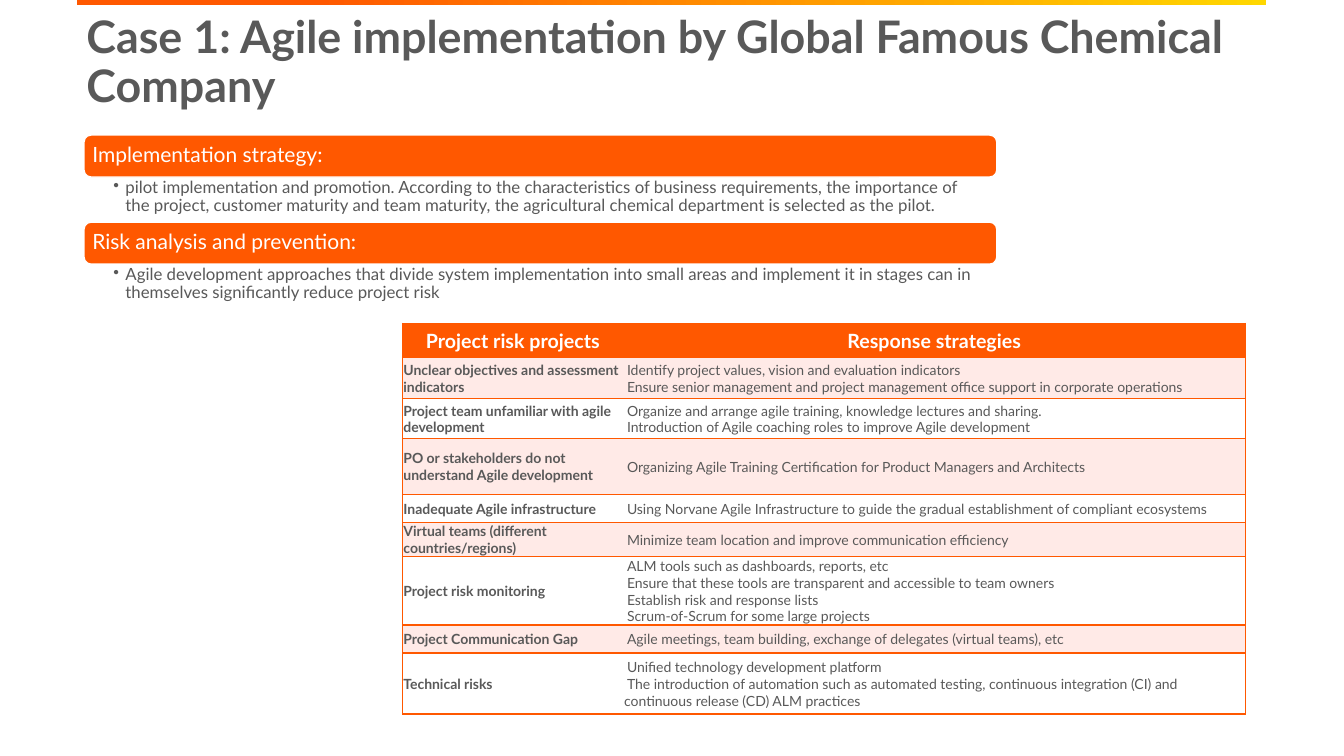
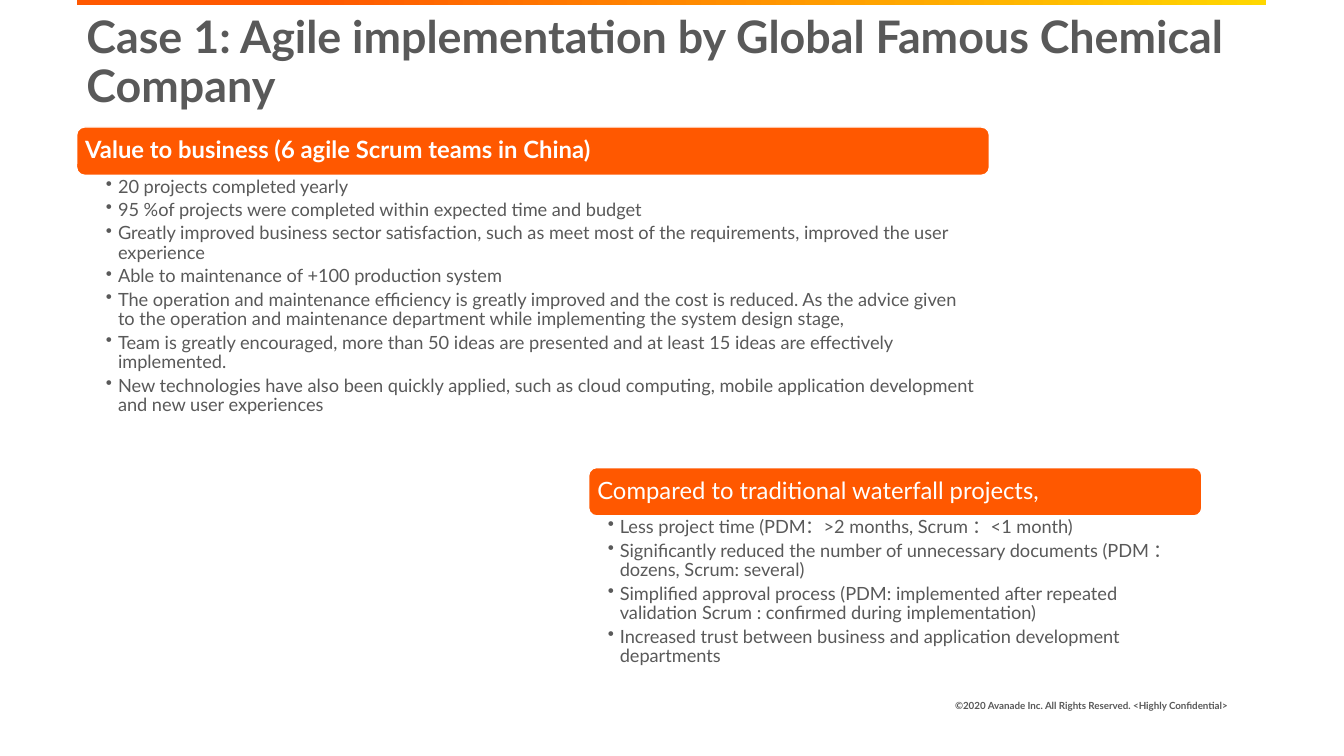
"""Builds two slides on a case of agile work: risks and strategy, then value."""
import pptx
import pptx.chart.data
import pptx.dml.color
import pptx.enum.shapes
import pptx.enum.text
import pptx.oxml
import pptx.oxml.ns
import pptx.util

Pt = pptx.util.Pt
RGB = pptx.dml.color.RGBColor.from_string
MID = pptx.enum.text.MSO_ANCHOR.MIDDLE
ALIGN = pptx.enum.text.PP_ALIGN
SHAPE = pptx.enum.shapes.MSO_SHAPE
FONT = "Lato"
HUES = {"brand": "FF5800", "gold": "FFD700", "text": "595959", "white": "FFFFFF", "band": "FFEAE7"}
TITLE = "Case 1: Agile implementation by Global Famous Chemical Company"
NOTE = "©2020 Avanade Inc. All Rights Reserved. <Highly Confidential>"


def write(frame, lines, size, hue="text", bold=False, align=ALIGN.LEFT, space=None, hang=None, bullet=False):
    frame.word_wrap = True
    for i, line in enumerate(lines):
        para = frame.paragraphs[0] if i == 0 else frame.add_paragraph()
        para.text = line
        para.alignment = align
        if space:
            para.line_spacing = space
        if hang:
            left, first = hang
            props = para._p.get_or_add_pPr()
            props.set("marL", str(Pt(left)))
            props.set("indent", str(Pt(first)))
        if bullet:
            para.space_after = Pt(size * 0.2)
            mark = pptx.oxml.parse_xml('<a:buChar %s char="•"/>' % pptx.oxml.ns.nsdecls("a"))
            props.append(mark)
        para.font.name = FONT
        para.font.size = Pt(size)
        para.font.bold = bold
        para.font.color.rgb = RGB(HUES[hue])


def block(slide, left, top, width, head, points, size, bold, high, deep, inset):
    bar = slide.shapes.add_shape(SHAPE.ROUNDED_RECTANGLE, Pt(left), Pt(top), Pt(width), Pt(high))
    bar.shadow.inherit = False
    bar.fill.solid()
    bar.fill.fore_color.rgb = RGB(HUES["brand"])
    bar.line.color.rgb = RGB(HUES["white"])
    bar.line.width = Pt(1)
    frame = bar.text_frame
    frame.margin_left = frame.margin_right = frame.margin_top = frame.margin_bottom = Pt(4.5)
    frame.vertical_anchor = MID
    write(frame, [head], size, "white", bold, space=0.9)
    body = slide.shapes.add_textbox(Pt(left), Pt(top + high), Pt(width), Pt(deep)).text_frame
    body.margin_left, body.margin_right = Pt(inset), Pt(9)
    body.margin_top = body.margin_bottom = Pt(1.5)
    write(body, points, 12 if size == 15 else 13, space=0.9, hang=(8.6, -8.6), bullet=True)


deck = pptx.Presentation()
deck.slide_width, deck.slide_height = Pt(960), Pt(540)
slides = [deck.slides.add_slide(deck.slide_layouts[6]) for _ in range(2)]
for slide in slides:
    band = slide.shapes.add_shape(SHAPE.RECTANGLE, Pt(54.7), 0, Pt(850), Pt(3.8))
    band.shadow.inherit = False
    band.line.fill.background()
    band.fill.gradient()
    band.fill.gradient_angle = 180
    for stop, hue, place in zip(band.fill.gradient_stops, ("gold", "brand"), (0, 0.8)):
        stop.color.rgb = RGB(HUES[hue])
        stop.position = place
    title = slide.shapes.add_textbox(Pt(54.7), Pt(7.2), Pt(850), Pt(78.5))
    write(title.text_frame, [TITLE], 32, bold=True, space=0.9)

risk, value = slides
plans = [
    ("Implementation strategy:",
     "pilot implementation and promotion. According to the characteristics of business requirements, "
     "the importance of the project, customer maturity and team maturity, the agricultural chemical "
     "department is selected as the pilot."),
    ("Risk analysis and prevention:",
     "Agile development approaches that divide system implementation into small areas and implement "
     "it in stages can in themselves significantly reduce project risk"),
]
for i, (head, point) in enumerate(plans):
    block(risk, 60, 96.5 + 62.2 * i, 652, head, [point], 15, False, 30, 32, 21)

rows = [
    (24.5, "Project risk projects", ["Response strategies"]),
    (29, "Unclear objectives and assessment indicators",
     ["Identify project values, vision and evaluation indicators",
      "Ensure senior management and project management office support in corporate operations"]),
    (29, "Project team unfamiliar with agile development",
     ["Organize and arrange agile training, knowledge lectures and sharing.",
      "Introduction of Agile coaching roles to improve Agile development"]),
    (39.5, "PO or stakeholders do not understand Agile development",
     ["Organizing Agile Training Certification for Product Managers and Architects"]),
    (20, "Inadequate Agile infrastructure",
     ["Using Norvane Agile Infrastructure to guide the gradual establishment of compliant ecosystems"]),
    (24.5, "Virtual teams (different countries/regions)",
     ["Minimize team location and improve communication efficiency"]),
    (48.5, "Project risk monitoring",
     ["ALM tools such as dashboards, reports, etc",
      "Ensure that these tools are transparent and accessible to team owners",
      "Establish risk and response lists",
      "Scrum-of-Scrum for some large projects"]),
    (20, "Project Communication Gap",
     ["Agile meetings, team building, exchange of delegates (virtual teams), etc"]),
    (43.5, "Technical risks",
     ["Unified technology development platform",
      "The introduction of automation such as automated testing, continuous integration (CI) "
      "and continuous release (CD) ALM practices"]),
]
high = sum(row[0] for row in rows)
grid = risk.shapes.add_table(len(rows), 2, Pt(287.5), Pt(231), Pt(602), Pt(high)).table
grid.horz_banding = False
grid._tbl.tblPr.find(pptx.oxml.ns.qn("a:tableStyleId")).text = "{2D5ABB26-0587-4C30-8999-92F81FD0307C}"
grid.columns[0].width, grid.columns[1].width = Pt(157.7), Pt(444.3)
for r, (tall, name, steps) in enumerate(rows):
    grid.rows[r].height = Pt(tall)
    for c, lines in enumerate(([name], steps)):
        cell = grid.cell(r, c)
        for side in ("LTB", "RTB")[c]if c == 0 else "RTB":
            edge = pptx.oxml.parse_xml(
                '<a:ln%s %s w="%d"><a:solidFill><a:srgbClr val="%s"/></a:solidFill></a:ln%s>'
                % (side, pptx.oxml.ns.nsdecls("a"), Pt(1), HUES["brand"], side))
            cell._tc.get_or_add_tcPr().append(edge)
        cell.fill.solid()
        cell.fill.fore_color.rgb = RGB(HUES["brand" if r == 0 else "band" if r % 2 else "white"])
        cell.margin_left = cell.margin_right = cell.margin_top = Pt(0.7)
        cell.margin_bottom = 0
        cell.vertical_anchor = MID
        if r == 0:
            write(cell.text_frame, lines, 14, "white", True, ALIGN.CENTER)
        else:
            write(cell.text_frame, lines, 10, bold=c == 0, hang=(0, 2) if c else None)

gains = [
    "20 projects completed yearly",
    "95 %of projects were completed within expected time and budget",
    "Greatly improved business sector satisfaction, such as meet most of the requirements, "
    "improved the user experience",
    "Able to maintenance of +100 production system",
    "The operation and maintenance efficiency is greatly improved and the cost is reduced. As the advice "
    "given to the operation and maintenance department while implementing the system design stage,",
    "Team is greatly encouraged, more than 50 ideas are presented and at least 15 ideas are effectively "
    "implemented.",
    "New technologies have also been quickly applied, such as cloud computing, mobile application "
    "development and new user experiences",
]
block(value, 54.7, 90.7, 652, "Value to business (6 agile Scrum teams in China)", gains, 17, True, 34.5, 199.5, 21)
pluses = [
    "Less project time (PDM：>2 months, Scrum ：<1 month)",
    "Significantly reduced the number of unnecessary documents (PDM ： dozens, Scrum: several)",
    "Simplified approval process (PDM: implemented after repeated validation Scrum : "
    "confirmed during implementation)",
    "Increased trust between business and application development departments",
]
block(value, 420.5, 334, 438, "Compared to traditional waterfall projects,", pluses, 17, False, 34.5, 133, 13.7)
foot = value.shapes.add_textbox(Pt(560), Pt(489.6), Pt(324), Pt(28.8)).text_frame
foot.vertical_anchor = MID
write(foot, [NOTE], 7, bold=True, align=ALIGN.RIGHT)

deck.save("out.pptx")
